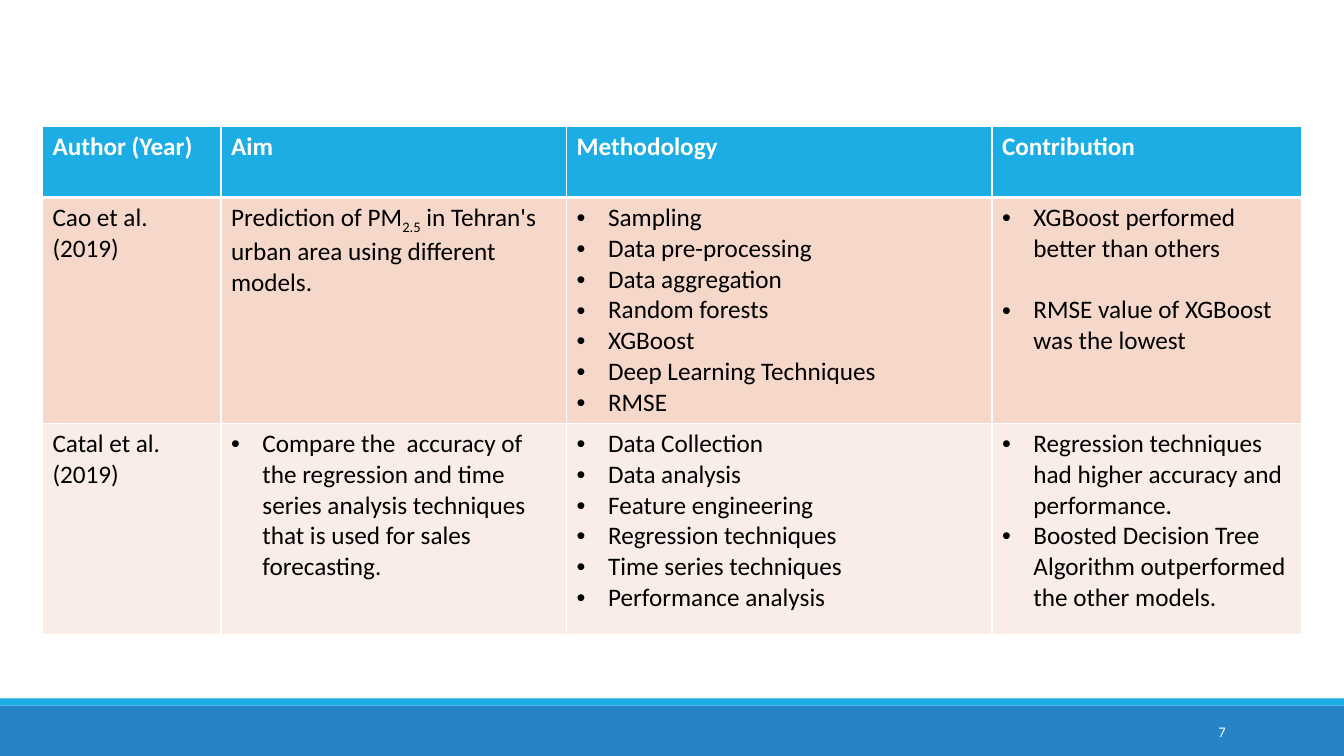
"""Build a literature review slide with a table of two studies."""
from dataclasses import dataclass

from lxml.etree import SubElement
from pptx import Presentation
from pptx.dml.color import RGBColor
from pptx.enum.shapes import MSO_SHAPE
from pptx.enum.text import MSO_ANCHOR, PP_ALIGN
from pptx.oxml.ns import qn
from pptx.util import Cm, Pt


@dataclass(frozen=True)
class Theme:
    font: str = "Calibri"
    white: str = "FFFFFF"
    black: str = "000000"
    cyan: str = "1CADE4"
    blue: str = "2683C6"
    row_fills: tuple = ("1CADE4", "F5D8CA", "FAECE6")
    table_size: float = 18
    number_size: float = 10.5
    bullet_gap: float = 22


def style_font(font, size, color, bold=False):
    font.name = theme.font
    font.size = Pt(size)
    font.bold = bold
    font.color.rgb = RGBColor.from_string(color)


def add_border(cell, side, width):
    line = SubElement(cell._tc.get_or_add_tcPr(), qn(f"a:{side}"), w=str(Pt(width)))
    fill = SubElement(line, qn("a:solidFill"))
    SubElement(fill, qn("a:srgbClr"), val=theme.white)


theme = Theme()
presentation = Presentation()
presentation.slide_width = Cm(33.87)
presentation.slide_height = Cm(19.05)
slide = presentation.slides.add_slide(presentation.slide_layouts[6])

band_top = Cm(17.78)
accent_top = Cm(17.6)
for top, bottom, color in (
    (band_top, presentation.slide_height, theme.blue),
    (accent_top, band_top, theme.cyan),
):
    band = slide.shapes.add_shape(
        MSO_SHAPE.RECTANGLE, 0, top, presentation.slide_width, bottom - top
    )
    band.shadow.inherit = False
    band.fill.solid()
    band.fill.fore_color.rgb = RGBColor.from_string(color)
    band.line.fill.background()

column_widths = (4.5, 8.71, 10.72, 7.8)
row_heights = (1.8, 5.69, 5.31)
studies = (
    ("Author (Year)", "Aim", "Methodology", "Contribution"),
    (
        "Cao et al. (2019)",
        "Prediction of PM2.5 in Tehran's urban area using different models.",
        ["Sampling", "Data pre-processing", "Data aggregation", "Random forests",
         "XGBoost", "Deep Learning Techniques", "RMSE"],
        ["XGBoost performed better than others",
         "RMSE value of XGBoost was the lowest"],
    ),
    (
        "Catal et al. (2019)",
        ["Compare the  accuracy of the regression and time series analysis "
         "techniques that is used for sales forecasting."],
        ["Data Collection", "Data analysis", "Feature engineering",
         "Regression techniques", "Time series techniques", "Performance analysis"],
        ["Regression techniques had higher accuracy and performance.",
         "Boosted Decision Tree Algorithm outperformed the other models."],
    ),
)
table = slide.shapes.add_table(
    len(studies), len(column_widths), Cm(1.07), Cm(3.18),
    Cm(sum(column_widths)), Cm(sum(row_heights)),
).table
for column, width in zip(table.columns, column_widths):
    column.width = Cm(width)

for row_index, study in enumerate(studies):
    is_header = row_index == 0
    table.rows[row_index].height = Cm(row_heights[row_index])
    for column_index, content in enumerate(study):
        cell = table.cell(row_index, column_index)
        for side in ("lnL", "lnR", "lnT", "lnB"):
            thick = (is_header and side == "lnB") or (row_index == 1 and side == "lnT")
            add_border(cell, side, 3 if thick else 1)
        cell.fill.solid()
        cell.fill.fore_color.rgb = RGBColor.from_string(theme.row_fills[row_index])

        bulleted = isinstance(content, list)
        frame = cell.text_frame
        for index, text in enumerate(content if bulleted else [content]):
            paragraph = frame.add_paragraph() if index else frame.paragraphs[0]
            if bulleted:
                properties = paragraph._p.get_or_add_pPr()
                properties.set("marL", str(Cm(0.79)))
                properties.set("indent", str(Cm(-0.79)))
                bullet_color = SubElement(properties, qn("a:buClr"))
                SubElement(bullet_color, qn("a:srgbClr"), val=theme.black)
                SubElement(properties, qn("a:buFont"), typeface="Arial")
                SubElement(properties, qn("a:buChar"), char="•")
            style_font(paragraph.font, theme.table_size,
                       theme.white if is_header else theme.black, is_header)
            before, subscript, after = text.partition("2.5")
            paragraph.add_run().text = before
            if subscript:
                subscript_run = paragraph.add_run()
                subscript_run.text = subscript
                subscript_run._r.get_or_add_rPr().set("baseline", "-25000")
                paragraph.add_run().text = after

contribution = table.cell(1, 3).text_frame
contribution.paragraphs[1].space_before = Pt(theme.bullet_gap)

number_box = slide.shapes.add_textbox(Cm(27.51), Cm(17.93), Cm(3.63), Cm(1.02))
number_frame = number_box.text_frame
number_frame.word_wrap = True
number_frame.vertical_anchor = MSO_ANCHOR.MIDDLE
number_paragraph = number_frame.paragraphs[0]
number_paragraph.text = "7"
number_paragraph.alignment = PP_ALIGN.RIGHT
style_font(number_paragraph.font, theme.number_size, theme.white)

presentation.save("out.pptx")
